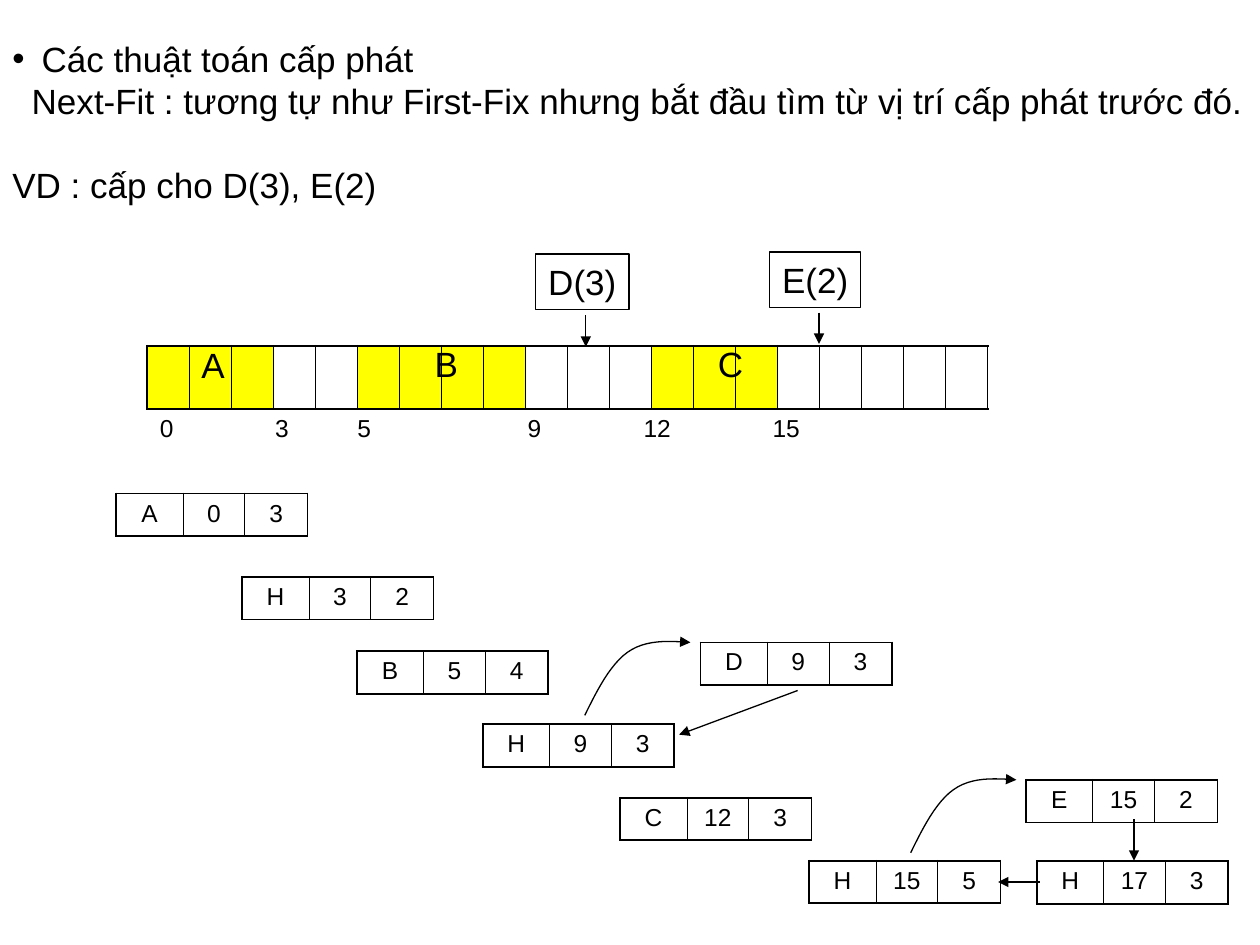
from dataclasses import dataclass

from lxml import etree
from pptx import Presentation
from pptx.dml.color import RGBColor
from pptx.enum.shapes import MSO_CONNECTOR, MSO_SHAPE
from pptx.enum.text import MSO_ANCHOR, PP_ALIGN
from pptx.oxml.ns import qn
from pptx.util import Cm, Pt

STRAIGHT = MSO_CONNECTOR.STRAIGHT
RECTANGLE = MSO_SHAPE.RECTANGLE
CENTER = PP_ALIGN.CENTER
LEFT = PP_ALIGN.LEFT
TOP = MSO_ANCHOR.TOP


@dataclass(frozen=True)
class Theme:
    ink: RGBColor = RGBColor(0, 0, 0)
    used: RGBColor = RGBColor(0xFF, 0xFF, 0)
    font: str = "Arial"
    body: Pt = Pt(20)
    small: Pt = Pt(14)
    line: Pt = Pt(0.75)
    outer: Pt = Pt(1.08)
    inner: Pt = Pt(0.45)


theme = Theme()


def write(p, text, size, align=LEFT):
    p.alignment = align
    r = p.add_run()
    r.text = text
    r.font.name = theme.font
    r.font.size = size
    r.font.color.rgb = theme.ink


def set_borders(cell, **widths):
    """Draw the named sides (L, R, T, B) and hide those left out."""
    tc_pr = cell._tc.get_or_add_tcPr()
    for i, side in enumerate("LRTB"):
        ln = etree.Element(qn(f"a:ln{side}"))
        if side in widths:
            ln.set("w", str(int(widths[side])))
            fill = etree.SubElement(ln, qn("a:solidFill"))
            etree.SubElement(fill, qn("a:srgbClr"), val=str(theme.ink))
        else:
            etree.SubElement(ln, qn("a:noFill"))
        tc_pr.insert(i, ln)


prs = Presentation()
prs.slide_width, prs.slide_height = Cm(25.4), Cm(19.05)
s = prs.slides.add_slide(prs.slide_layouts[6])

# Heading: (text, left margin, first-line indent, space before)
heading = [
    ("Các thuật toán cấp phát", 0.59, -0.59, 0),
    ("Next-Fit : tương tự như First-Fix nhưng bắt đầu tìm từ vị trí cấp phát trước đó.", 0.39, 0, 0),
    ("VD : cấp cho D(3), E(2)", 0, 0, 24),
]
tf = s.shapes.add_textbox(0, Cm(0.63), Cm(25.4), Cm(3.66)).text_frame
tf.word_wrap = True
for i, (text, margin, indent, before) in enumerate(heading):
    p = tf.add_paragraph() if i else tf.paragraphs[0]
    write(p, text, theme.body)
    p.space_before = Pt(before)
    p_pr = p._p.get_or_add_pPr()
    p_pr.set("marL", str(Cm(margin)))
    p_pr.set("indent", str(Cm(indent)))
    if indent:
        etree.SubElement(p_pr, qn("a:buFont"), typeface=theme.font)
        etree.SubElement(p_pr, qn("a:buChar"), char="•")

# Memory bar with its scale of start addresses
UNITS = 20
BLOCKS = [(0, 3), (5, 4), (12, 3)]
used_units = {start + n for start, size in BLOCKS for n in range(size)}
bar = s.shapes.add_table(2, UNITS, Cm(2.97), Cm(6.97), Cm(16.94), Cm(2.26)).table
bar.first_row = bar.horz_banding = False
bar.rows[0].height, bar.rows[1].height = Cm(1.27), Cm(0.99)
for n in range(UNITS):
    cell = bar.cell(0, n)
    if n in used_units:
        cell.fill.solid()
        cell.fill.fore_color.rgb = theme.used
    else:
        cell.fill.background()
    set_borders(cell, T=theme.outer, B=theme.outer,
                L=theme.inner if n else theme.outer,
                R=theme.inner if n < UNITS - 1 else theme.outer)
    bar.cell(1, n).fill.background()
    set_borders(bar.cell(1, n), T=theme.outer)
scale = bar.cell(1, 0)
scale.merge(bar.cell(1, UNITS - 1))
p = scale.text_frame.paragraphs[0]
write(p, "0\t3\t5\t9\t12\t15", theme.small)
tabs = etree.SubElement(p._p.get_or_add_pPr(), qn("a:tabLst"))
for stop in (2.32, 3.98, 7.41, 9.75, 12.35):
    etree.SubElement(tabs, qn("a:tab"), pos=str(Cm(stop)), algn="l")

# Block letters on the bar
for letter, x, y, w in [("A", 3.81, 6.81, 0.97), ("B", 8.51, 6.78, 0.97), ("C", 14.22, 6.78, 1.02)]:
    tf = s.shapes.add_textbox(Cm(x), Cm(y), Cm(w), Cm(1.12)).text_frame
    tf.word_wrap = False
    write(tf.paragraphs[0], letter, theme.body)

# Requests waiting for memory
for request, x, y, w in [("D(3)", 10.8, 5.12, 1.88), ("E(2)", 15.52, 5.08, 1.83)]:
    sp = s.shapes.add_shape(RECTANGLE, Cm(x), Cm(y), Cm(w), Cm(1.12))
    sp.shadow.inherit = False
    sp.fill.background()
    sp.line.color.rgb = theme.ink
    sp.line.width = theme.line
    tf = sp.text_frame
    tf.word_wrap = False
    tf.margin_left = tf.margin_right = 0
    tf.vertical_anchor = TOP
    write(tf.paragraphs[0], request, theme.body, CENTER)

# List nodes: left, top, (name, start, length)
nodes = [
    (2.34, 9.95, ("A", "0", "3")), (4.88, 11.63, ("H", "3", "2")),
    (7.19, 13.13, ("B", "5", "4")), (9.73, 14.6, ("H", "9", "3")),
    (12.5, 16.08, ("C", "12", "3")), (16.31, 17.35, ("H", "15", "5")),
    (14.12, 12.95, ("D", "9", "3")), (20.68, 15.72, ("E", "15", "2")),
    (20.9, 17.36, ("H", "17", "3")),
]
for x, y, values in nodes:
    node = s.shapes.add_table(1, 3, Cm(x), Cm(y), Cm(3.86), Cm(0.86)).table
    node.first_row = node.horz_banding = False
    for n, (value, width) in enumerate(zip(values, (1.35, 1.24, 1.27))):
        node.columns[n].width = Cm(width)
        cell = node.cell(0, n)
        cell.fill.background()
        set_borders(cell, T=theme.outer, B=theme.outer,
                    L=theme.inner if n else theme.outer,
                    R=theme.inner if n < 2 else theme.outer)
        p = cell.text_frame.paragraphs[0]
        write(p, value, theme.small, CENTER)
        p.space_before = Pt(3.5)

# Straight arrows, then curved ones from a freed hole to its new block
arrows = [
    s.shapes.add_connector(STRAIGHT, *map(Cm, ends))
    for ends in [(11.81, 6.35, 11.81, 6.99), (16.51, 6.3, 16.51, 6.93),
                 (16.08, 13.92, 13.69, 14.81), (22.86, 16.51, 22.86, 17.35),
                 (20.96, 17.78, 20.12, 17.78)]
]
CURVE = [((0, 1.5), (0.25, 0.99), (0.51, 0.48), (0.86, 0.23)),
         ((0.86, 0.23), (1.22, -0.03), (1.68, 0), (2.13, 0.03))]
STEPS = 12
for x, y in [(11.79, 12.92), (18.36, 15.69)]:
    points = []
    for a, b, c, d in CURVE:
        for t in (n / STEPS for n in range(1, STEPS + 1)):
            weights = ((1 - t) ** 3, 3 * t * (1 - t) ** 2, 3 * t * t * (1 - t), t ** 3)
            px, py = (sum(k * v for k, v in zip(weights, axis)) for axis in zip(a, b, c, d))
            points.append((Cm(x + px), Cm(y + py)))
    fb = s.shapes.build_freeform(Cm(x), Cm(y + 1.5))
    fb.add_line_segments(points, close=False)
    sp = fb.convert_to_shape()
    sp.fill.background()
    arrows.append(sp)

for arrow in arrows:
    arrow.line.color.rgb = theme.ink
    arrow.line.width = theme.line
    etree.SubElement(arrow.line._get_or_add_ln(), qn("a:tailEnd"), type="triangle")
    etree.SubElement(arrow._element.spPr, qn("a:effectLst"))

prs.save("out.pptx")
